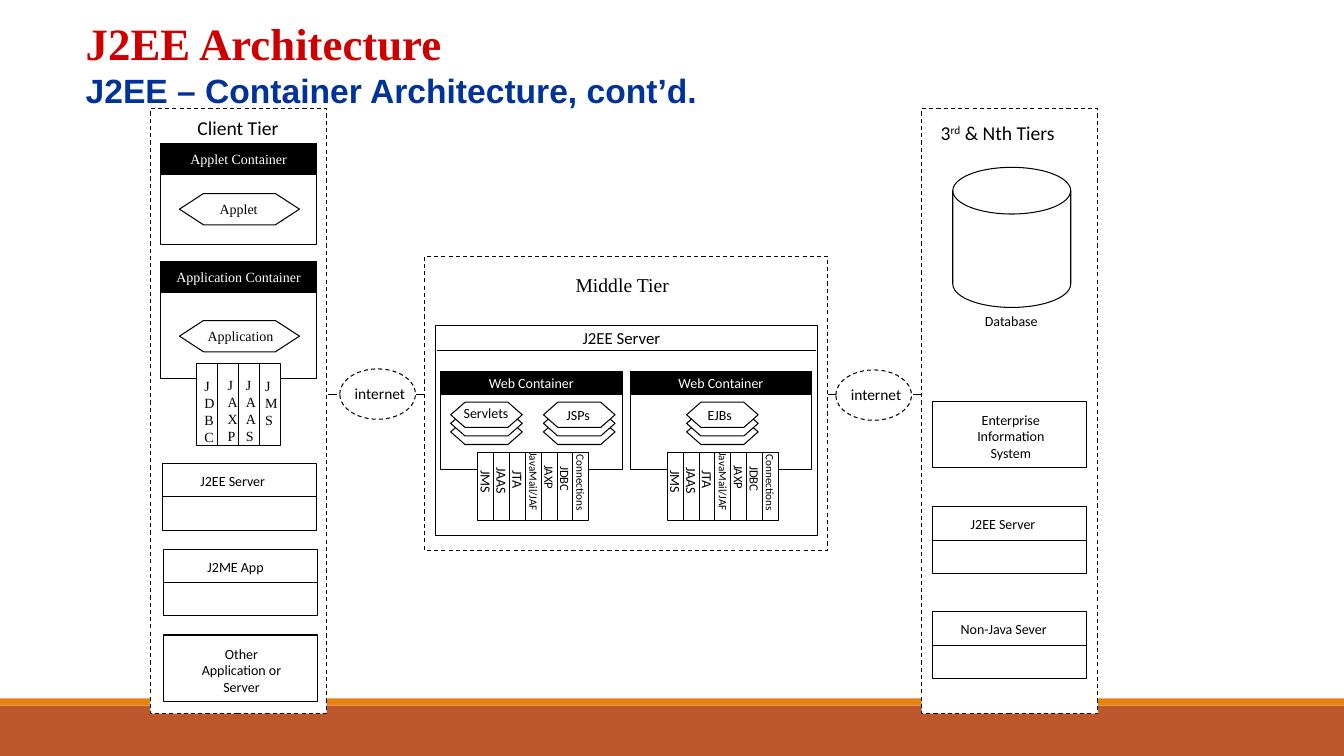
import pptx
import pptx.dml.color
import pptx.enum.dml
import pptx.enum.shapes
import pptx.enum.text
import pptx.oxml
import pptx.util

Inches = pptx.util.Inches
Pt = pptx.util.Pt
SHAPES = pptx.enum.shapes.MSO_SHAPE
ALIGN = pptx.enum.text.PP_ALIGN
ANCHOR = pptx.enum.text.MSO_ANCHOR

COLOURS = {
    "black": "000000",
    "white": "FFFFFF",
    "rust": "BD582C",
    "orange": "E48312",
    "red": "CC0000",
    "blue": "003399",
}
SANS = "Calibri"
SERIF = "Times New Roman"
EFFECTS = '<a:effectLst xmlns:a="http://schemas.openxmlformats.org/drawingml/2006/main"/>'


class Diagram:
    def __init__(self, deck):
        self.page = deck.slides.add_slide(deck.slide_layouts[5])

    def colour(self, name):
        return pptx.dml.color.RGBColor.from_string(COLOURS[name])

    def span(self, para, text, size, font, colour="black", bold=False):
        span = para.add_run()
        span.text = text
        span.font.size = Pt(size)
        span.font.name = font
        span.font.bold = bold
        span.font.color.rgb = self.colour(colour)
        return span

    def title(self, heading, subheading):
        box = self.page.shapes.title
        box.left, box.top = Inches(0.75), Inches(0)
        box.width, box.height = Inches(8.5), Inches(1.25)
        frame = box.text_frame
        frame.vertical_anchor = ANCHOR.MIDDLE
        frame.auto_size = pptx.enum.text.MSO_AUTO_SIZE.NONE
        para = frame.paragraphs[0]
        para.alignment = ALIGN.LEFT
        self.span(para, heading, 32, SERIF, "red", True)
        para.add_line_break()
        self.span(para, subheading, 24, "Arial", "blue", True)

    def shape(self, left, top, width, height, kind=SHAPES.RECTANGLE, fill=None, line="black", dashed=False):
        shape = self.page.shapes.add_shape(kind, Inches(left), Inches(top), Inches(width), Inches(height))
        shape.shadow.inherit = False
        if fill:
            shape.fill.solid()
            shape.fill.fore_color.rgb = self.colour(fill)
        else:
            shape.fill.background()
        if line:
            shape.line.color.rgb = self.colour(line)
            shape.line.width = Pt(0.75)
        else:
            shape.line.fill.background()
        if dashed:
            shape.line.dash_style = pptx.enum.dml.MSO_LINE.DASH
        return shape

    def text(self, left, top, width, height, lines, size=10, font=SANS, align=ALIGN.LEFT, turn=0, wrap=True):
        box = self.page.shapes.add_textbox(Inches(left), Inches(top), Inches(width), Inches(height))
        box.rotation = turn
        frame = box.text_frame
        frame.word_wrap = wrap
        frame.auto_size = pptx.enum.text.MSO_AUTO_SIZE.SHAPE_TO_FIT_TEXT
        for index, line in enumerate(lines.split("\n")):
            para = frame.add_paragraph() if index else frame.paragraphs[0]
            para.alignment = align
            if line:
                self.span(para, line, size, font)
        return frame.paragraphs[0]

    def line(self, left, right, height):
        line = self.page.shapes.add_connector(
            pptx.enum.shapes.MSO_CONNECTOR.STRAIGHT, Inches(left), Inches(height), Inches(right), Inches(height))
        line.line.color.rgb = self.colour("black")
        line.line.width = Pt(0.75)
        line._element.spPr.append(pptx.oxml.parse_xml(EFFECTS))
        return line

    def split_box(self, left, top, label, indent):
        box = self.shape(left, top, 1.53, 0.66)
        divider = self.line(left, left + 1.53, top + 0.33)
        divider.begin_connect(box, 1)
        divider.end_connect(box, 3)
        self.text(left + indent, top + 0.04, 1.3, 0.27, label)

    def plain_box(self, left, top, label):
        self.shape(left, top, 1.53, 0.66)
        self.text(left + 0.23, top + 0.05, 1.09, 0.6, label, align=ALIGN.CENTER)

    def container(self, left, top, width, head, body, label, font):
        header = self.shape(left, top, width, head, fill="black")
        frame = header.text_frame
        frame.word_wrap = False
        frame.vertical_anchor = ANCHOR.MIDDLE
        para = frame.paragraphs[0]
        para.alignment = ALIGN.CENTER
        self.span(para, label, 10, font, "white")
        self.shape(left, top + head, width, body)

    def hexagon(self, left, top, width, height):
        self.shape(left, top, width, height, SHAPES.FLOWCHART_PREPARATION, "white")

    def internet(self, left, top):
        self.shape(left, top, 0.75, 0.5, SHAPES.OVAL, "white", dashed=True)
        self.text(left + 0.05, top + 0.1, 0.83, 0.28, "internet", 11)


CLIENT_CONTAINERS = [
    (1.42, 0.7, "Applet Container", "Applet", 2.08, 1.92),
    (2.59, 0.86, "Application Container", "Application", 1.96, 3.18),
]
CLIENT_SERVICES = [
    ("JDBC", 1.93, 3.7, 0.26),
    ("JAXP", 2.16, 3.69, 0.26),
    ("JAAS", 2.34, 3.69, 0.21),
    ("J\nM\nS", 2.53, 3.7, 0.22),
]
SERVER_SERVICES = [
    ("JMS", 10, 0.66, 0.27, 4.9),
    ("JAAS", 10, 0.66, 0.27, 4.87),
    ("JTA", 10, 0.66, 0.27, 4.9),
    ("JavaMail/JAF", 8, 1, 0.24, 4.89),
    ("JAXP", 9, 0.55, 0.25, 4.79),
    ("JDBC", 9, 0.75, 0.25, 4.9),
    ("Connections", 8, 0.82, 0.23, 4.82),
]
WEB_CONTAINERS = [
    (4.37, [("Servlets", 0.1, 0.13, 3.96), ("JSPs", 1.02, 1.15, 3.98)]),
    (6.25, [("EJBs", 0.56, 0.67, 3.98)]),
]


def draw_client_tier(diagram):
    diagram.shape(1.49, 1.08, 1.75, 6, fill="white", dashed=True)
    diagram.text(1.57, 1.1, 1.58, 0.33, "Client Tier", 14, align=ALIGN.CENTER)
    for top, body, label, part, part_left, part_top in CLIENT_CONTAINERS:
        diagram.container(1.59, top, 1.55, 0.31, body, label, SERIF)
        diagram.hexagon(1.78, part_top, 1.19, 0.31)
        diagram.text(part_left, part_top + 0.02, 1.02, 0.27, part, font=SERIF)
    for index in range(len(CLIENT_SERVICES)):
        diagram.shape(1.95 + 0.207 * index, 3.61, 0.21, 0.81, fill="white")
    for label, left, top, width in CLIENT_SERVICES:
        diagram.text(left, top, width, 0.77, label, font=SERIF)
    diagram.split_box(1.61, 4.6, "J2EE Server", 0.28)
    diagram.split_box(1.62, 5.45, "J2ME App", 0.34)
    diagram.plain_box(1.62, 6.3, "Other Application or Server")


def draw_middle_tier(diagram):
    diagram.shape(4.21, 2.54, 4, 2.92, dashed=True)
    diagram.text(5.61, 2.66, 1.38, 0.33, "Middle Tier", 14, SERIF)
    diagram.shape(4.32, 3.23, 3.79, 2.08)
    diagram.text(5.68, 3.2, 1.25, 0.3, "J2EE Server", 12)
    diagram.line(4.33, 8.09, 3.48)
    for left, parts in WEB_CONTAINERS:
        diagram.container(left, 3.69, 1.8, 0.22, 0.75, "Web Container", SANS)
        for label, offset, indent, label_top in parts:
            for layer in range(3):
                diagram.hexagon(left + offset, 4.16 - 0.085 * layer, 0.71, 0.25)
            diagram.text(left + indent, label_top, 0.78, 0.27, label)
        strips = [left + 0.37 + 0.157 * index for index in range(len(SERVER_SERVICES))]
        for strip in strips:
            diagram.shape(strip, 4.49, 0.16, 0.67, fill="white")
        for strip, (label, size, width, height, middle) in zip(strips, SERVER_SERVICES):
            diagram.text(strip + 0.08 - width / 2, middle - height / 2, width, height, label, size,
                         turn=90, wrap=label != "Connections")


def draw_back_tiers(diagram):
    diagram.shape(9.14, 1.08, 1.75, 6, fill="white", dashed=True)
    heading = diagram.text(9.23, 1.15, 1.58, 0.33, "3", 14)
    ordinal = diagram.span(heading, "rd", 14, SANS)
    ordinal._r.get_or_add_rPr().set("baseline", "30000")
    diagram.span(heading, " & Nth Tiers", 14, SANS)
    diagram.shape(9.45, 1.66, 1.17, 1.39, SHAPES.FLOWCHART_MAGNETIC_DISK)
    diagram.text(9.67, 3.05, 0.83, 0.27, "Database")
    diagram.plain_box(9.25, 3.98, "Enterprise Information System")
    diagram.split_box(9.25, 5.03, "J2EE Server", 0.28)
    diagram.split_box(9.25, 6.07, "Non-Java Sever", 0.18)


def main():
    deck = pptx.Presentation()
    deck.slide_width, deck.slide_height = Inches(13.33), Inches(7.5)
    diagram = Diagram(deck)
    diagram.title("J2EE Architecture", "J2EE – Container Architecture, cont’d.")
    diagram.shape(0, 7, 13.33, 0.5, fill="rust", line=None)
    diagram.shape(0, 6.93, 13.33, 0.07, fill="orange", line=None)
    draw_client_tier(diagram)
    draw_middle_tier(diagram)
    draw_back_tiers(diagram)
    diagram.internet(3.37, 3.66)
    diagram.internet(8.29, 3.67)
    for left, right in [(3.25, 3.34), (4.13, 4.21), (8.21, 8.29), (9.06, 9.14)]:
        diagram.line(left, right, 3.91)
    deck.save("out.pptx")


if __name__ == "__main__":
    main()
